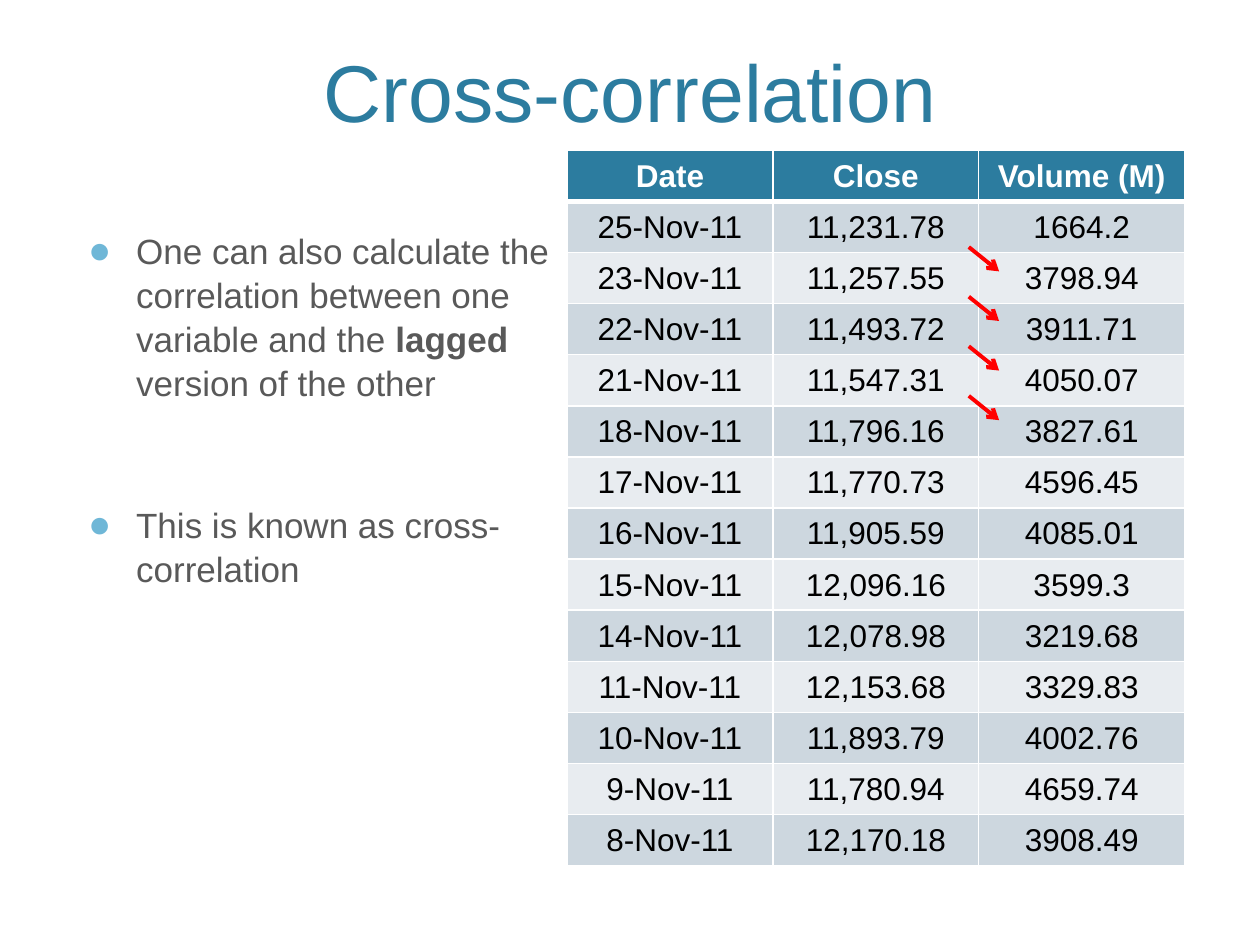
"""Build a slide on cross-correlation with a price table and lag arrows."""
import pptx
import pptx.dml.color
import pptx.enum.shapes
import pptx.enum.text
import pptx.oxml.ns
import pptx.util
import lxml.etree

Cm = pptx.util.Cm
Pt = pptx.util.Pt
RGB = pptx.dml.color.RGBColor.from_string
MID = pptx.enum.text.PP_ALIGN.CENTER
ANCHOR = pptx.enum.text.MSO_ANCHOR

THEME = {
    "title": {"size": Pt(46), "color": "2C7C9F", "bold": False},
    "body": {"size": Pt(20), "color": "595959", "bold": False},
    "strong": {"size": Pt(20), "color": "595959", "bold": True},
    "head": {"size": Pt(18), "color": "FFFFFF", "bold": True},
    "cell": {"size": Pt(18), "color": "000000", "bold": False},
    "font": "Arial",
    "fills": {"head": "2C7C9F", "odd": "CDD7DF", "even": "E8ECF0"},
    "border": "FFFFFF",
    "bullet": "6FB7D7",
    "arrow": "FF0000",
}


def add_run(para, text, style):
    run = para.add_run()
    run.text = text
    run.font.name = THEME["font"]
    for key, val in THEME[style].items():
        if key == "color":
            run.font.color.rgb = RGB(val)
        else:
            setattr(run.font, key, val)


def add_node(root, tag, **attrs):
    return lxml.etree.SubElement(root, pptx.oxml.ns.qn("a:" + tag), attrs)


deck = pptx.Presentation()
deck.slide_width, deck.slide_height = Cm(25.4), Cm(19.05)
slide = deck.slides.add_slide(deck.slide_layouts[1])
title, body = slide.shapes.title, slide.placeholders[1]

boxes = [
    (title, (1.52, 0.3, 22.36, 2.62), ANCHOR.BOTTOM),
    (body, (1.52, 4.45, 9.91, 12.06), ANCHOR.TOP),
]
for box, place, anchor in boxes:
    for name, val in zip(("left", "top", "width", "height"), place):
        setattr(box, name, Cm(val))
    frame = {"word_wrap": True, "vertical_anchor": anchor,
             "auto_size": pptx.enum.text.MSO_AUTO_SIZE.NONE}
    for name, val in frame.items():
        setattr(box.text_frame, name, val)

para = title.text_frame.paragraphs[0]
para.alignment = MID
add_run(para, "Cross-correlation", "title")

points = [
    (16, [("One can also calculate the correlation between one variable and the ", "body"),
          ("lagged", "strong"),
          (" version of the other", "body")]),
    (56, [("This is known as cross-correlation", "body")]),
]
for num, (gap, runs) in enumerate(points):
    para = body.text_frame.add_paragraph() if num else body.text_frame.paragraphs[0]
    for name, val in {"space_before": Pt(gap), "line_spacing": 1.05}.items():
        setattr(para, name, val)
    props = para._p.get_or_add_pPr()
    props.set("marL", str(Cm(0.97)))
    props.set("indent", str(-Cm(0.97)))
    add_node(add_node(props, "buClr"), "srgbClr", val=THEME["bullet"])
    add_node(props, "buSzPct", val="110000")
    add_node(props, "buFont", typeface=THEME["font"])
    add_node(props, "buChar", char="●")
    for text, style in runs:
        add_run(para, text, style)

rows = [
    ("Date", "Close", "Volume (M)"),
    ("25-Nov-11", "11,231.78", "1664.2"),
    ("23-Nov-11", "11,257.55", "3798.94"),
    ("22-Nov-11", "11,493.72", "3911.71"),
    ("21-Nov-11", "11,547.31", "4050.07"),
    ("18-Nov-11", "11,796.16", "3827.61"),
    ("17-Nov-11", "11,770.73", "4596.45"),
    ("16-Nov-11", "11,905.59", "4085.01"),
    ("15-Nov-11", "12,096.16", "3599.3"),
    ("14-Nov-11", "12,078.98", "3219.68"),
    ("11-Nov-11", "12,153.68", "3329.83"),
    ("10-Nov-11", "11,893.79", "4002.76"),
    ("9-Nov-11", "11,780.94", "4659.74"),
    ("8-Nov-11", "12,170.18", "3908.49"),
]
wide, high = 4.15, 1.03
grid = slide.shapes.add_table(
    len(rows), 3, Cm(11.43), Cm(3.03), Cm(3 * wide), Cm(len(rows) * high)).table
for col in grid.columns:
    col.width = Cm(wide)
pad = {"margin_left": Cm(0.02), "margin_right": Cm(0.02), "margin_top": Cm(0.02),
       "margin_bottom": 0, "vertical_anchor": ANCHOR.MIDDLE}
for r, row in enumerate(rows):
    grid.rows[r].height = Cm(high)
    band = "head" if r == 0 else "odd" if r % 2 else "even"
    for c, text in enumerate(row):
        cell = grid.cell(r, c)
        for name, val in pad.items():
            setattr(cell, name, val)
        props = cell._tc.get_or_add_tcPr()
        for side in ("lnL", "lnR", "lnT", "lnB"):
            thick = (r, side) in ((0, "lnB"), (1, "lnT"))
            edge = add_node(props, side, w=str(Pt(3 if thick else 1)))
            add_node(add_node(edge, "solidFill"), "srgbClr", val=THEME["border"])
        cell.fill.solid()
        cell.fill.fore_color.rgb = RGB(THEME["fills"][band])
        para = cell.text_frame.paragraphs[0]
        para.alignment = MID
        add_run(para, text, "cell" if r else "head")

for step in range(4):
    top = 4.98 + step
    lag = slide.shapes.add_connector(
        pptx.enum.shapes.MSO_CONNECTOR.STRAIGHT,
        Cm(19.53), Cm(top), Cm(20.14), Cm(top + 0.49))
    lag.line.width = Pt(2.25)
    lag.line.color.rgb = RGB(THEME["arrow"])
    add_node(lag.line._get_or_add_ln(), "tailEnd", type="arrow")
    add_node(lag._element.spPr, "effectLst")

deck.save("out.pptx")
